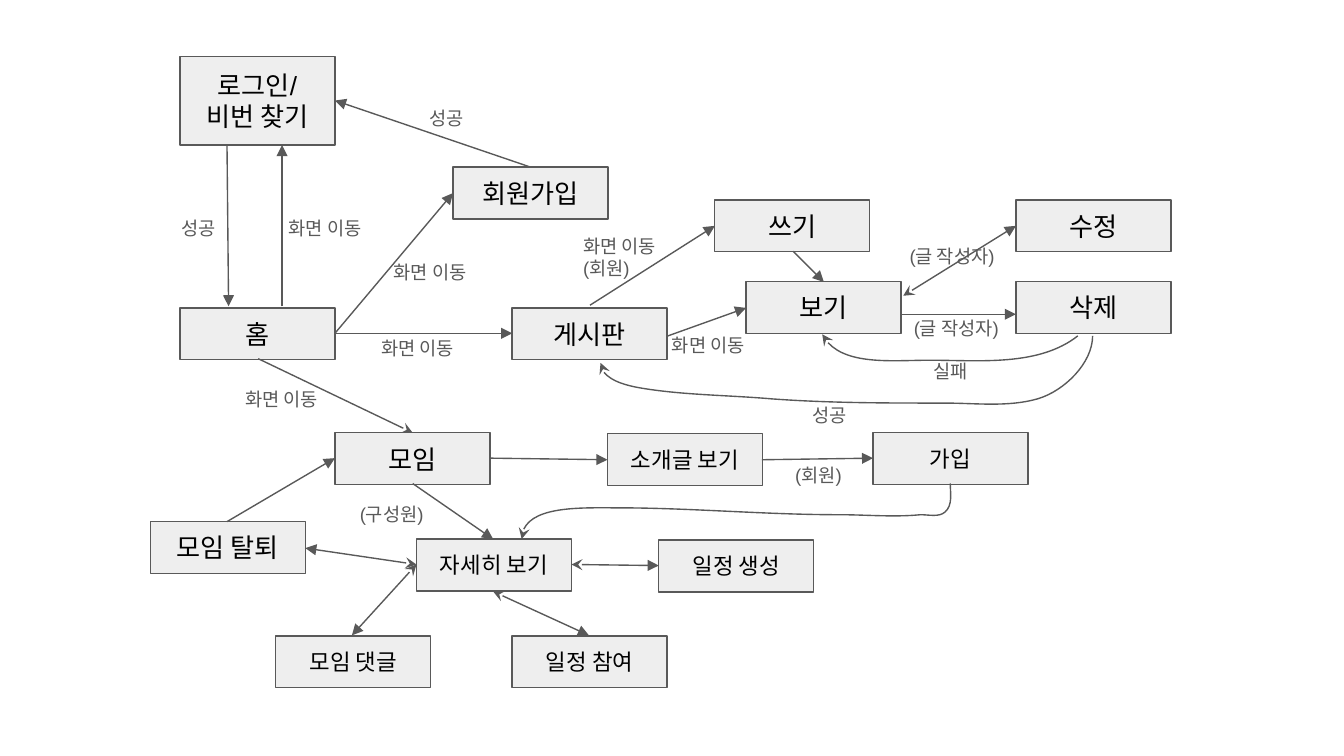
from pptx import Presentation
from pptx.dml.color import RGBColor
from pptx.enum.shapes import MSO_CONNECTOR as LINK, MSO_SHAPE as SHAPE
from pptx.enum.text import MSO_ANCHOR as ANCHOR, PP_ALIGN as ALIGN
from pptx.oxml.ns import qn
from pptx.util import Cm, Pt
from lxml.etree import SubElement

FILL = RGBColor(0xEE, 0xEE, 0xEE)
GRAY = RGBColor(0x59, 0x59, 0x59)
BLACK = RGBColor(0, 0, 0)

deck = Presentation()
deck.slide_width, deck.slide_height = Cm(25.4), Cm(14.29)
slide = deck.slides.add_slide(deck.slide_layouts[6])
shapes = slide.shapes


def write(shape, text, size, color, align):
    frame = shape.text_frame
    frame.word_wrap = True
    frame.margin_left = frame.margin_right = Cm(0.25)
    frame.margin_top = frame.margin_bottom = Cm(0.25)
    para = frame.paragraphs[0]
    para.alignment = align
    for i, line in enumerate(text.split("\n")):
        if i:
            para.add_line_break()
        run = para.add_run()
        run.text = line
        run.font.name, run.font.size = "Arial", Pt(size)
        run.font.color.rgb = color


def draw(shape, head, tail):
    shape.line.color.rgb = GRAY
    shape.line.width = Pt(0.75)
    pen = shape.line._get_or_add_ln()
    for tag, kind in (("a:headEnd", head), ("a:tailEnd", tail)):
        if kind:
            SubElement(pen, qn(tag), type=kind)


# Screens: text, left, top, height, text size
wide, high = 2.93, 0.98
for text, x, y, h, size in [
    ("홈", 3.4, 5.82, high, 14),
    ("로그인/\n비번 찾기", 3.4, 1.07, 1.67, 14),
    ("회원가입", 8.56, 3.16, high, 14),
    ("게시판", 9.68, 5.82, high, 14),
    ("쓰기", 13.51, 3.78, high, 14),
    ("보기", 14.1, 5.32, high, 14),
    ("삭제", 19.2, 5.32, high, 14),
    ("수정", 19.2, 3.78, high, 14),
    ("모임", 6.33, 8.18, high, 14),
    ("소개글 보기", 11.48, 8.2, high, 12),
    ("가입", 16.5, 8.18, high, 12),
    ("자세히 보기", 7.87, 10.19, high, 12),
    ("일정 생성", 12.45, 10.21, high, 12),
    ("일정 참여", 9.68, 12.02, high, 12),
    ("모임 댓글", 5.21, 12.02, high, 12),
    ("모임 탈퇴", 2.84, 9.86, high, 14),
]:
    box = shapes.add_shape(SHAPE.RECTANGLE, Cm(x), Cm(y), Cm(wide), Cm(h))
    box.shadow.inherit = False
    box.fill.solid()
    box.fill.fore_color.rgb = FILL
    draw(box, None, None)
    box.text_frame.vertical_anchor = ANCHOR.MIDDLE
    write(box, text, size, BLACK, ALIGN.CENTER)

# Straight arrows: start, end, head, tail
one = (None, "triangle")
both = ("stealth", "triangle")
for x1, y1, x2, y2, (head, tail) in [
    (5.33, 5.79, 5.33, 2.74, one),
    (6.33, 6.3, 8.56, 3.65, one),
    (10.03, 3.16, 6.33, 1.9, one),
    (4.29, 2.74, 4.32, 5.79, one),
    (6.33, 6.3, 9.68, 6.3, one),
    (11.15, 5.77, 13.51, 4.27, one),
    (12.62, 6.35, 14.1, 5.82, one),
    (14.99, 4.75, 15.57, 5.33, one),
    (17.02, 5.94, 19.2, 5.94, one),
    (17.07, 5.59, 19.2, 4.27, both),
    (4.88, 6.78, 7.8, 8.18, (None, "stealth")),
    (9.27, 8.66, 11.48, 8.69, one),
    (14.4, 8.69, 16.5, 8.66, one),
    (7.8, 9.14, 9.32, 10.19, one),
    (4.29, 9.86, 6.33, 8.66, one),
    (10.8, 10.67, 12.45, 10.69, both),
    (9.32, 11.18, 11.13, 12.01, both),
    (7.87, 10.67, 6.65, 12.01, both),
    (7.87, 10.67, 5.77, 10.36, both),
]:
    link = shapes.add_connector(LINK.STRAIGHT, Cm(x1), Cm(y1), Cm(x2), Cm(y2))
    draw(link, head, tail)
    SubElement(link._element.spPr, qn("a:effectLst"))

# Curved arrows: start point, then three points for each Bezier piece
for dots in [
    # Delete fails: back to the post
    [(20.37, 6.35), (19.63, 6.93), (18.52, 6.81), (17.58, 6.81),
     (16.89, 6.81), (15.85, 6.93), (15.54, 6.32)],
    # Delete succeeds: back to the board
    [(20.65, 6.35), (20.65, 6.86), (20.12, 7.39), (19.61, 7.54),
     (19.05, 7.7), (18.44, 7.62), (17.86, 7.62),
     (16.76, 7.62), (15.67, 7.62), (14.58, 7.54),
     (13.77, 7.47), (12.93, 7.47), (12.14, 7.34),
     (11.84, 7.29), (11.35, 7.16), (11.35, 6.86)],
    # Joined: on to the details
    [(17.96, 9.14), (17.96, 9.32), (18.01, 9.55), (17.86, 9.68),
     (17.75, 9.78), (17.55, 9.73), (17.4, 9.73),
     (16.89, 9.78), (16.38, 9.73), (15.85, 9.73),
     (14.45, 9.73), (13.06, 9.6), (11.66, 9.6),
     (11.02, 9.6), (9.86, 9.55), (9.86, 10.19)],
]:
    first, *rest = [(Cm(x), Cm(y)) for x, y in dots]
    pen = shapes.build_freeform(*first)
    pen.add_line_segments(rest, close=False)
    curve = pen.convert_to_shape()
    curve.shadow.inherit = False
    curve.fill.background()
    draw(curve, None, "stealth")
    # Turn each three line steps into one cubic step
    track = curve._element.find(".//" + qn("a:path"))
    steps = track.findall(qn("a:lnTo"))
    for i in range(0, len(steps), 3):
        cubic = SubElement(track, qn("a:cubicBezTo"))
        for step in steps[i:i + 3]:
            cubic.append(step[0])
            track.remove(step)

# Arrow labels
move = "화면 이동"
for text, x, y in [
    ("성공", 7.87, 1.8),
    (move, 5.21, 3.89),
    (move, 7.19, 4.72),
    ("성공", 3.18, 3.89),
    (move, 6.96, 6.15),
    (move, 12.45, 6.1),
    (move + "\n(회원)", 10.77, 4.19),
    ("(글 작성자)", 17.02, 5.77),
    ("(글 작성자)", 16.94, 4.42),
    ("성공", 15.11, 7.42),
    ("실패", 17.4, 6.58),
    (move, 4.39, 7.11),
    ("(회원)", 14.78, 8.56),
    ("(구성원)", 6.55, 9.3),
]:
    label = shapes.add_textbox(Cm(x), Cm(y), Cm(2.46), Cm(0.76))
    write(label, text, 10, GRAY, ALIGN.LEFT)

deck.save("out.pptx")
